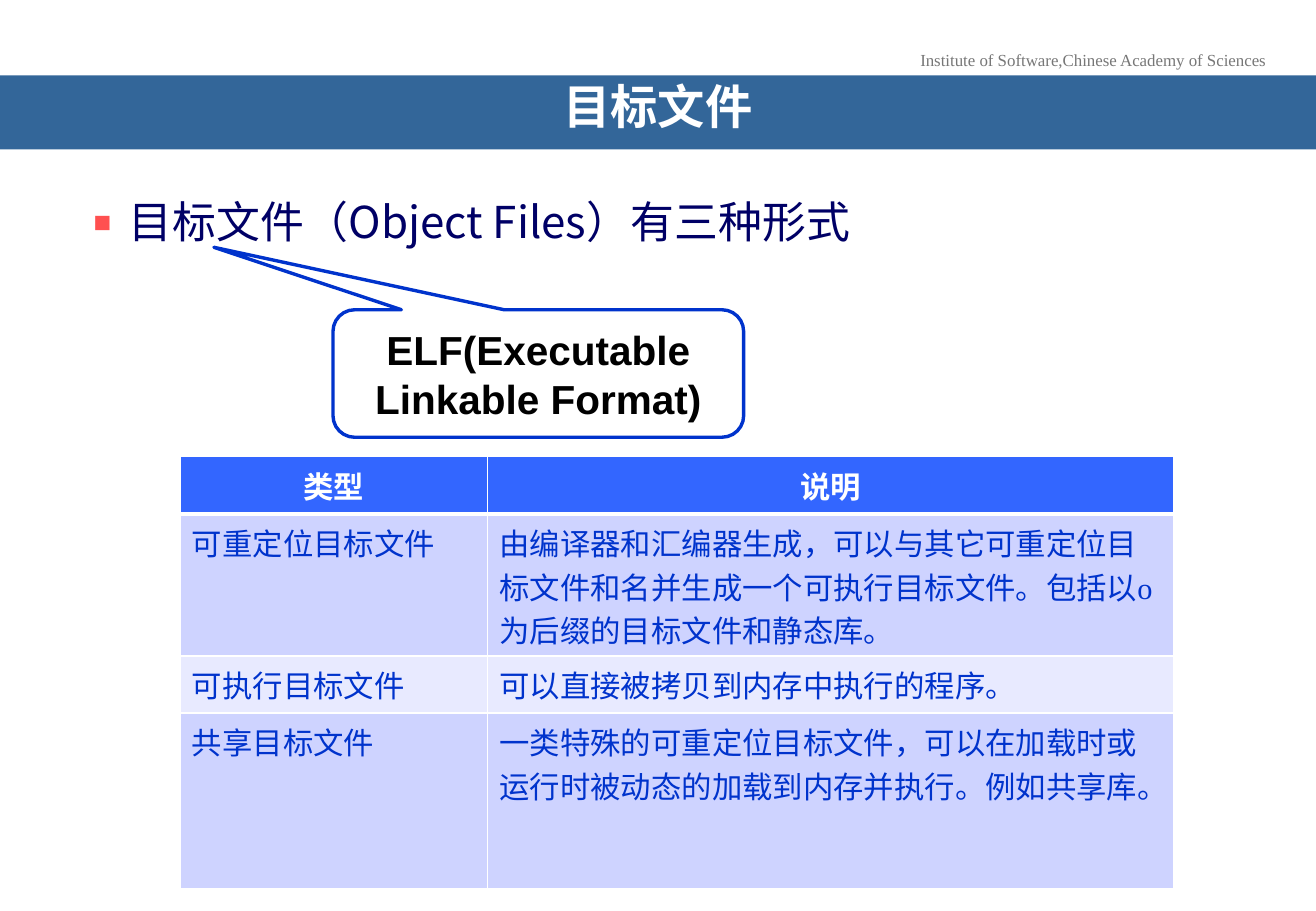
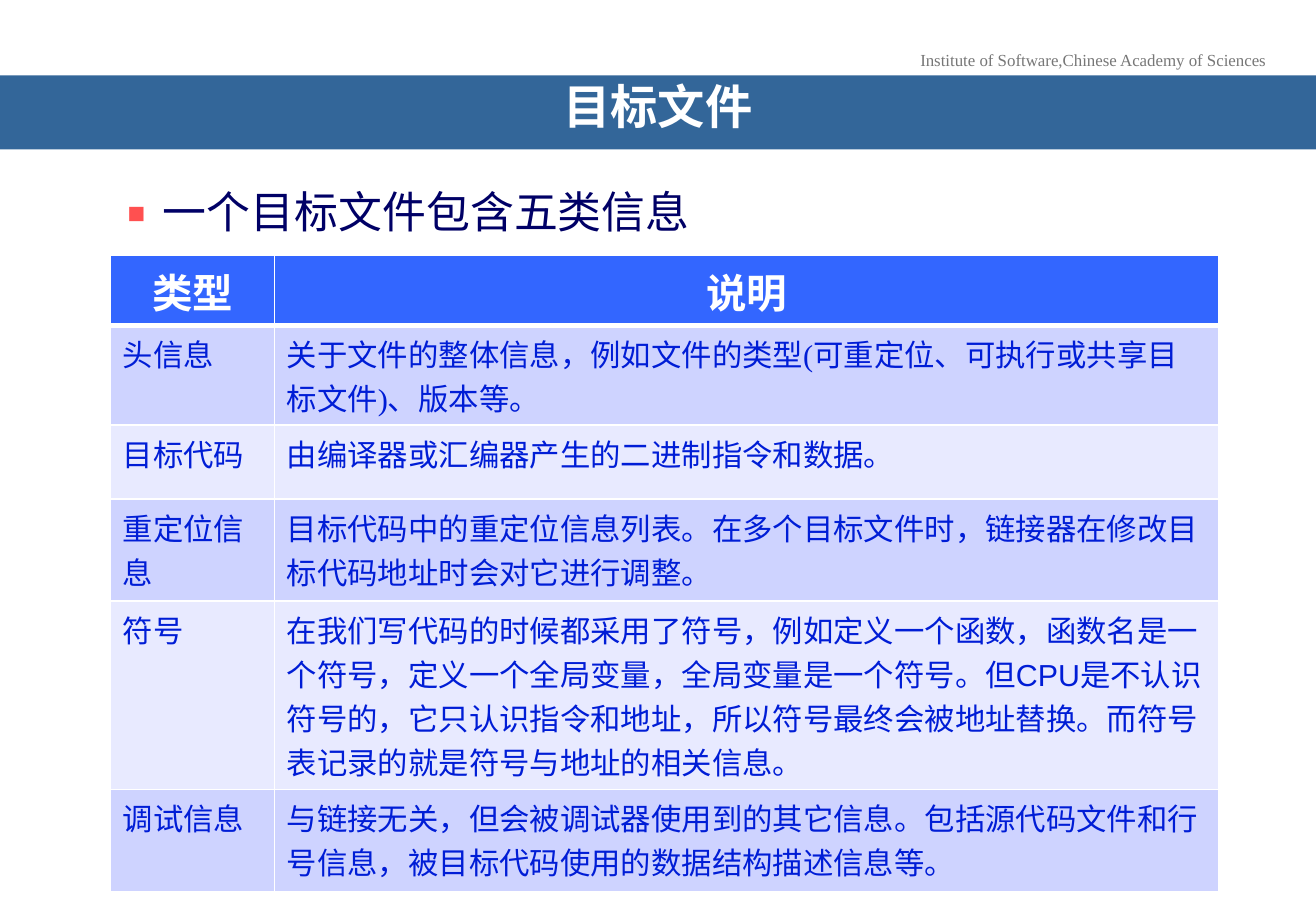
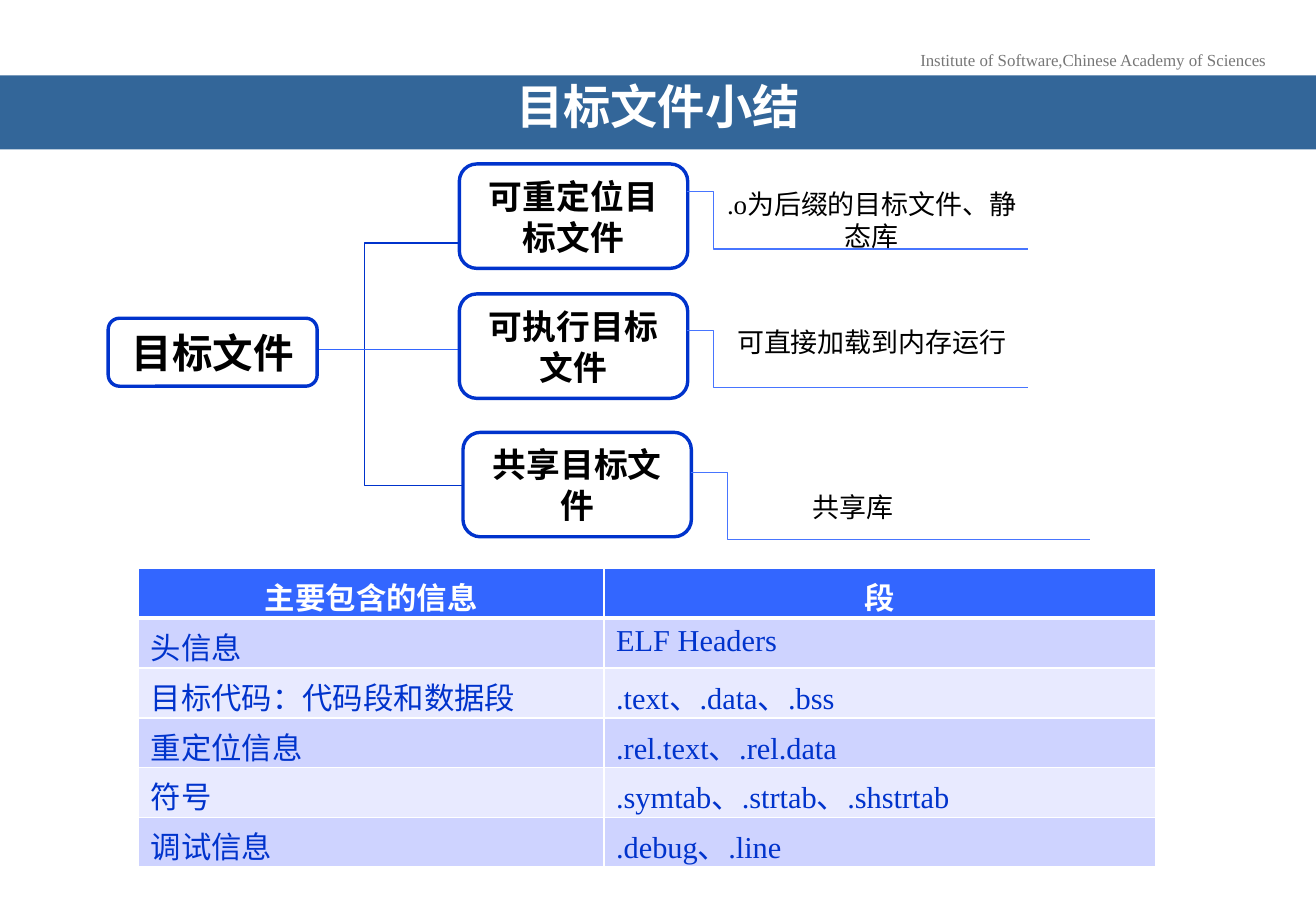
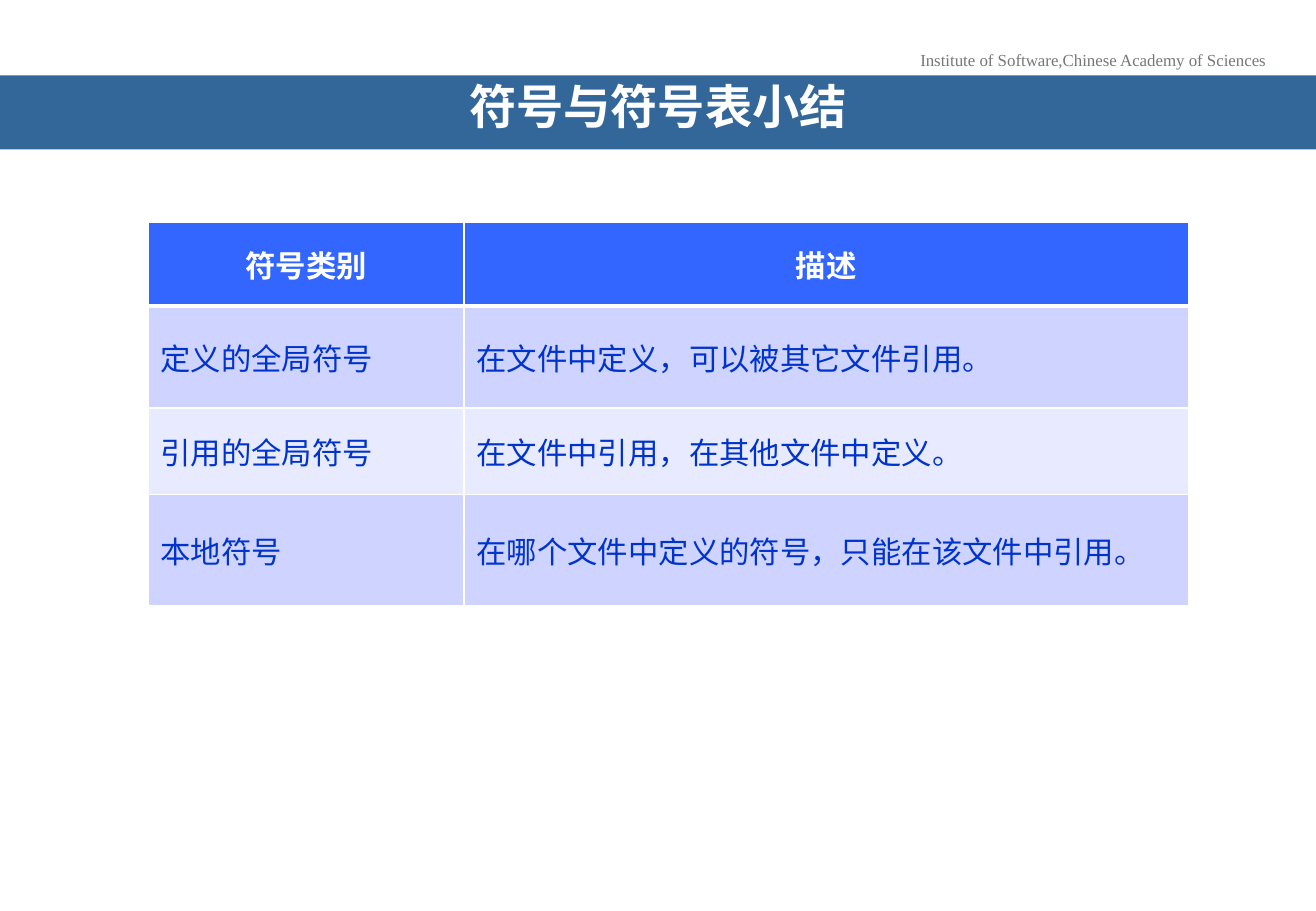
from pptx import Presentation
from pptx.dml.color import RGBColor
from pptx.enum.shapes import MSO_CONNECTOR, MSO_SHAPE
from pptx.enum.text import MSO_ANCHOR, PP_ALIGN
from pptx.oxml.ns import qn
from pptx.util import Inches, Pt
from lxml.etree import SubElement

COLORS = {
    "band": "336699", "white": "FFFFFF", "institute": "777777", "text": "000000",
    "heading": "000066", "bullet": "FF5050", "outline": "0033CC", "stem": "3366FF",
    "bracket": "4775FF", "header": "3366FF", "odd_row": "CED3FF", "even_row": "E8EAFF",
    "cell": "0033CC", "cell_bright": "001DD6",
}
CJK, SERIF, SANS = "Noto Sans CJK SC", "Times New Roman", "Arial"
SLIDE_WIDTH, SLIDE_HEIGHT = 10.83, 7.5
LINE_PITCH = 1.21
INSTITUTE = "Institute of Software,Chinese Academy of Sciences"

OBJECT_FILE_TYPES = [
    ("类型", "说明"),
    ("可重定位目标文件", "由编译器和汇编器生成，可以与其它可重定位目标文件和名并生成一个可执行目标文件。包括以o为后缀的目标文件和静态库。"),
    ("可执行目标文件", "可以直接被拷贝到内存中执行的程序。"),
    ("共享目标文件", "一类特殊的可重定位目标文件，可以在加载时或运行时被动态的加载到内存并执行。例如共享库。"),
]
INFORMATION_KINDS = [
    ("类型", "说明"),
    ("头信息", "关于文件的整体信息，例如文件的类型(可重定位、可执行或共享目标文件)、版本等。"),
    ("目标代码", "由编译器或汇编器产生的二进制指令和数据。"),
    ("重定位信息", "目标代码中的重定位信息列表。在多个目标文件时，链接器在修改目标代码地址时会对它进行调整。"),
    ("符号", "在我们写代码的时候都采用了符号，例如定义一个函数，函数名是一个符号，定义一个全局变量，全局变量是一个符号。但CPU是不认识符号的，它只认识指令和地址，所以符号最终会被地址替换。而符号表记录的就是符号与地址的相关信息。"),
    ("调试信息", "与链接无关，但会被调试器使用到的其它信息。包括源代码文件和行号信息，被目标代码使用的数据结构描述信息等。"),
]
SECTIONS = [
    ("主要包含的信息", "段"),
    ("头信息", "ELF Headers"),
    ("目标代码：代码段和数据段", ".text、.data、.bss"),
    ("重定位信息", ".rel.text、.rel.data"),
    ("符号", ".symtab、.strtab、.shstrtab"),
    ("调试信息", ".debug、.line"),
]
SYMBOL_KINDS = [
    ("符号类别", "描述"),
    ("定义的全局符号", "在文件中定义，可以被其它文件引用。"),
    ("引用的全局符号", "在文件中引用，在其他文件中定义。"),
    ("本地符号", "在哪个文件中定义的符号，只能在该文件中引用。"),
]
# Branch: node text, node left and top, bracket (start, end, bend share), note text, note box
BRANCHES = [
    ("可重定位目标文件", (3.78, 1.35), ((5.65, 1.58), (8.46, 2.05), 0.08),
     ".o为后缀的目标文件、静态库", (5.81, 1.49, 2.73, 0.64)),
    ("可执行目标文件", (3.78, 2.42), ((5.65, 2.72), (8.46, 3.19), 0.08),
     "可直接加载到内存运行", (5.81, 2.63, 2.73, 0.37)),
    ("共享目标文件", (3.81, 3.56), ((5.69, 3.89), (8.97, 4.44), 0.09),
     "共享库", (5.84, 3.99, 2.36, 0.37)),
]
NODE_SIZE = (1.88, 0.86)
ROOT_BOX = (0.89, 2.62, 1.72, 0.56)
STEM = ((2.53, 2.88), (3.78, 2.88))
# Cubic curves from the first node round the root to the last node
ARC = [
    [(3.75, 1.52), (3.17, 2.01), (2.59, 2.51), (2.6, 2.94)],
    [(2.6, 2.94), (2.61, 3.37), (3.8, 4.11), (3.8, 4.11)],
]
ARC_STEPS = 20


def rgb(name):
    return RGBColor.from_string(COLORS[name])


def inches(values):
    return [Inches(value) for value in values]


def write(frame, text, size, font, color, bold=False, align=PP_ALIGN.CENTER, pitch=None):
    """Fill a text frame with one paragraph; pitch is its line spacing."""
    paragraph = frame.paragraphs[0]
    paragraph.alignment = align
    if pitch:
        paragraph.line_spacing = pitch
    run = paragraph.add_run()
    run.text = text
    for key, value in {"size": Pt(size), "name": font, "bold": bold}.items():
        setattr(run.font, key, value)
    run.font.color.rgb = rgb(color)
    SubElement(run.font._element, qn("a:ea"), typeface=CJK)
    return paragraph


def write_spaced(frame, text, size, *style, **options):
    frame.word_wrap = True
    return write(frame, text, size, *style, pitch=Pt(round(size * LINE_PITCH, 1)), **options)


def add_box(slide, preset, box, fill, outline=None):
    shape = slide.shapes.add_shape(preset, *inches(box))
    shape.shadow.inherit = False
    shape.fill.solid()
    shape.fill.fore_color.rgb = rgb(fill)
    if outline:
        shape.line.color.rgb = rgb(outline)
        shape.line.width = Pt(2)
    else:
        shape.line.fill.background()
    shape.text_frame.vertical_anchor = MSO_ANCHOR.MIDDLE
    return shape


def add_label(slide, box, text, size, bold=True):
    node = add_box(slide, MSO_SHAPE.ROUNDED_RECTANGLE, box, "white", "outline")
    write_spaced(node.text_frame, text, size, SANS, "text", bold)


def add_line(slide, start, end, color, bend=None):
    kind = MSO_CONNECTOR.STRAIGHT if bend is None else MSO_CONNECTOR.ELBOW
    line = slide.shapes.add_connector(kind, *inches(start + end))
    line.line.color.rgb = rgb(color)
    line.line.width = Pt(0.75)
    properties = line._element.spPr
    SubElement(properties, qn("a:effectLst"))
    if bend is not None:
        guides = properties.find(qn("a:prstGeom")).get_or_add_avLst()
        SubElement(guides, qn("a:gd"), name="adj1", fmla=f"val {round(bend * 100000)}")


def cubic_point(curve, t):
    weights = ((1 - t) ** 3, 3 * t * (1 - t) ** 2, 3 * t * t * (1 - t), t ** 3)
    return tuple(sum(w * p[axis] for w, p in zip(weights, curve)) for axis in (0, 1))


def add_arc(slide):
    points = [cubic_point(curve, step / ARC_STEPS)
              for curve in ARC for step in range(1, ARC_STEPS + 1)]
    builder = slide.shapes.build_freeform(*ARC[0][0], scale=Inches(1))
    builder.add_line_segments(points, close=False)
    arc = builder.convert_to_shape()
    arc.shadow.inherit = False
    arc.fill.background()
    arc.line.color.rgb = rgb("outline")
    arc.line.width = Pt(0.75)


def add_heading(slide, box, text):
    frame = slide.shapes.add_textbox(*inches(box)).text_frame
    properties = frame.paragraphs[0]._p.get_or_add_pPr()
    properties.set("marL", str(Inches(0.38)))
    properties.set("indent", str(-Inches(0.38)))
    color = SubElement(properties, qn("a:buClr"))
    SubElement(color, qn("a:srgbClr"), val=COLORS["bullet"])
    SubElement(properties, qn("a:buSzPct"), val="120000")
    SubElement(properties, qn("a:buFont"), typeface=CJK)
    SubElement(properties, qn("a:buChar"), char="▪")
    write_spaced(frame, text, 26, CJK, "heading", align=PP_ALIGN.LEFT)


def set_borders(cell, is_header):
    properties = cell._tc.get_or_add_tcPr()
    for side in "LRTB":
        width = 3 if is_header and side == "B" else 1
        border = SubElement(properties, qn(f"a:ln{side}"), w=str(Pt(width)))
        fill = SubElement(border, qn("a:solidFill"))
        SubElement(fill, qn("a:srgbClr"), val=COLORS["white"])


def add_grid(slide, corner, columns, heights, rows, header_size=18, color="cell",
             anchor=MSO_ANCHOR.TOP, bottom=0.05, sans_rows=()):
    size = (sum(columns), sum(heights))
    table = slide.shapes.add_table(len(rows), len(columns), *inches(corner + size)).table
    table.horz_banding = False
    for column, width in zip(table.columns, columns):
        column.width = Inches(width)
    for r, (texts, height) in enumerate(zip(rows, heights)):
        table.rows[r].height = Inches(height)
        fill = "header" if r == 0 else "odd_row" if r % 2 else "even_row"
        for c, text in enumerate(texts):
            cell = table.cell(r, c)
            set_borders(cell, r == 0)
            cell.fill.solid()
            cell.fill.fore_color.rgb = rgb(fill)
            cell.vertical_anchor = anchor
            cell.margin_bottom = Inches(bottom)
            if r == 0:
                write(cell.text_frame, text, header_size, SERIF, "white", True)
            else:
                font = SANS if r in sans_rows else SERIF
                write(cell.text_frame, text, 18, font, color, align=PP_ALIGN.LEFT)


def add_titled_slide(deck, title):
    slide = deck.slides.add_slide(deck.slide_layouts[6])
    institute = slide.shapes.add_textbox(*inches((7.46, 0.36, 3.07, 0.27))).text_frame
    institute.word_wrap = False
    write(institute, INSTITUTE, 10, SERIF, "institute")
    band = add_box(slide, MSO_SHAPE.RECTANGLE, (0, 0.62, SLIDE_WIDTH, 0.61), "band")
    write(band.text_frame, title, 28, "Arial Narrow", "white", True, pitch=0.7)
    return slide


def build_types(deck):
    slide = add_titled_slide(deck, "目标文件")
    add_heading(slide, (0.53, 1.55, 9.76, 0.6), "目标文件（Object Files）有三种形式")
    add_grid(slide, (1.48, 3.76), (2.53, 5.65), (0.47, 1.17, 0.47, 1.45), OBJECT_FILE_TYPES)
    callout = add_box(slide, MSO_SHAPE.ROUNDED_RECTANGULAR_CALLOUT, (2.74, 2.55, 3.38, 1.05),
                      "white", "outline")
    for index, value in enumerate((-0.79, -0.99, 0.17)):
        callout.adjustments[index] = value
    write_spaced(callout.text_frame, "ELF(Executable Linkable Format)", 24, SANS, "text", True)


def build_information(deck):
    slide = add_titled_slide(deck, "目标文件")
    add_heading(slide, (0.81, 1.47, 8.84, 0.6), "一个目标文件包含五类信息")
    add_grid(slide, (0.91, 2.1), (1.35, 7.77), (0.58, 0.82, 0.61, 0.84, 1.55, 0.84),
             INFORMATION_KINDS, header_size=24, color="cell_bright", sans_rows=(4,))


def build_file_summary(deck):
    slide = add_titled_slide(deck, "目标文件小结")
    add_arc(slide)
    add_line(slide, *STEM, "stem")
    for name, corner, (start, end, bend), note, note_box in BRANCHES:
        add_label(slide, corner + NODE_SIZE, name, 20)
        add_line(slide, start, end, "bracket", bend)
        frame = slide.shapes.add_textbox(*inches(note_box)).text_frame
        write_spaced(frame, note, 16, SERIF, "text")
    add_label(slide, ROOT_BOX, "目标文件", 24)
    add_grid(slide, (1.14, 4.68), (3.83, 4.54), [0.41] * len(SECTIONS), SECTIONS, bottom=0)


def build_symbol_summary(deck):
    slide = add_titled_slide(deck, "符号与符号表小结")
    add_grid(slide, (1.22, 1.83), (2.6, 5.96), (0.69, 0.84, 0.71, 0.92), SYMBOL_KINDS,
             anchor=MSO_ANCHOR.MIDDLE)


def main():
    deck = Presentation()
    deck.slide_width, deck.slide_height = inches((SLIDE_WIDTH, SLIDE_HEIGHT))
    for build in (build_types, build_information, build_file_summary, build_symbol_summary):
        build(deck)
    deck.save("out.pptx")


if __name__ == "__main__":
    main()
